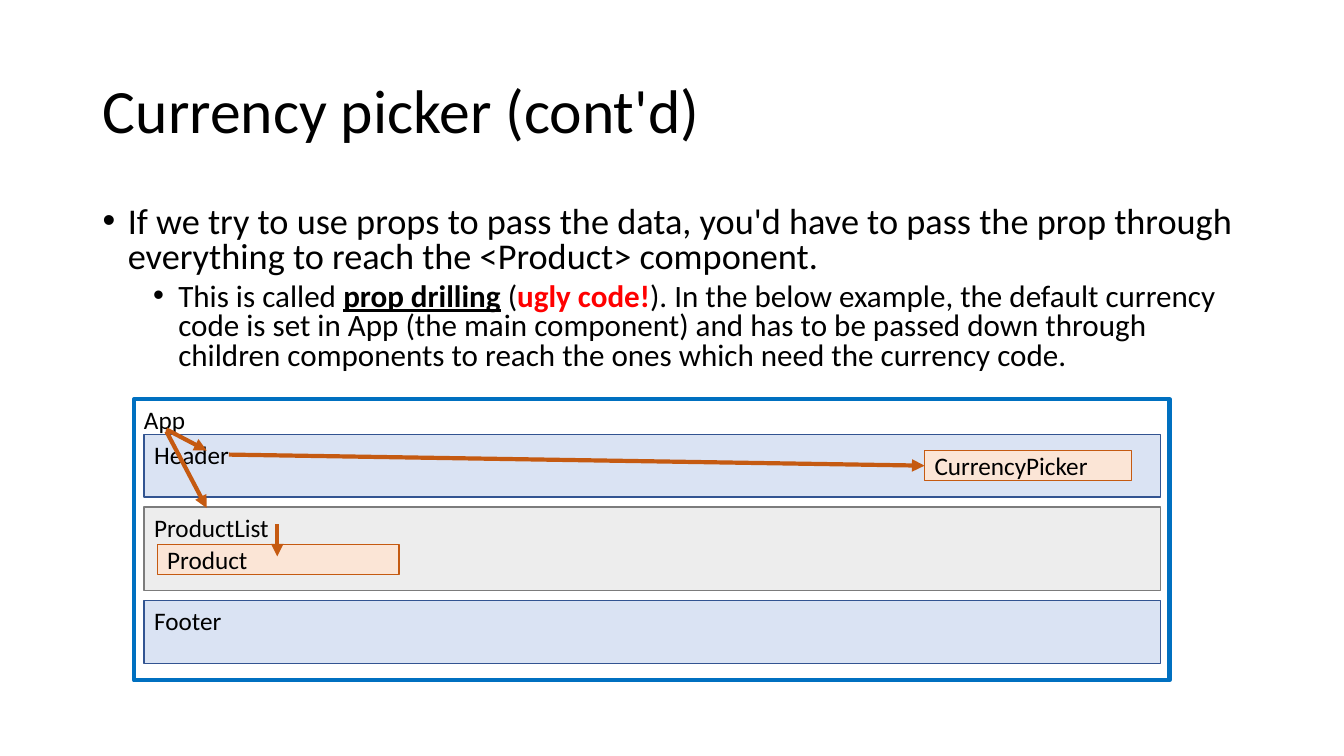
from lxml import etree
from pptx import Presentation
from pptx import util as u
from pptx.dml.color import RGBColor
from pptx.enum import shapes, text
from pptx.oxml.ns import qn

PX = 9144
BLACK, BLUE, ORANGE, RED = "000000", "0070C0", "C55A11", "FF0000"


def paint(color_format, value):
    color_format.rgb = RGBColor.from_string(value)


def add_run(p, words, size, color=BLACK, bold=False, underline=False):
    r = p.add_run()
    r.text = words
    r.font.name = "Calibri"
    r.font.size = u.Pt(size)
    r.font.bold = bold
    r.font.underline = underline
    paint(r.font.color, color)


prs = Presentation()
prs.slide_width, prs.slide_height = 1333 * PX, 750 * PX
s = prs.slides.add_slide(prs.slide_layouts[5])

title = s.shapes.title
title.left, title.top, title.width, title.height = [n * PX for n in (92, 40, 1150, 145)]
tf = title.text_frame
tf.auto_size = text.MSO_AUTO_SIZE.NONE
tf.vertical_anchor = text.MSO_ANCHOR.MIDDLE
p = tf.paragraphs[0]
p.alignment = text.PP_ALIGN.LEFT
p.line_spacing = 0.9
add_run(p, "Currency picker (cont'd)", 44)

body = s.shapes.add_textbox(*[n * PX for n in (92, 200, 1150, 185)])
tf = body.text_frame
tf.word_wrap = True
bullets = [
    (0, 25, 10, 25.9, [
        ("If we try to use props to pass the data, you'd have to pass the prop through "
         "everything to reach the <Product> component.",),
    ]),
    (1, 75, 5, 22.2, [
        ("This is called ",),
        ("prop drilling", BLACK, True, True),
        (" (",),
        ("ugly code!", RED, True),
        ("). In the below example, the default currency code is set in App (the main "
         "component) and has to be passed down through children components to reach "
         "the ones which need the currency code.",),
    ]),
]
for level, margin, before, size, runs in bullets:
    p = tf.add_paragraph() if level else tf.paragraphs[0]
    p.level = level
    p.line_spacing = 0.8
    p.space_before = u.Pt(before)
    pPr = p._p.get_or_add_pPr()
    pPr.set("marL", str(margin * PX))
    pPr.set("indent", str(-25 * PX))
    etree.SubElement(pPr, qn("a:buFont")).set("typeface", "Arial")
    etree.SubElement(pPr, qn("a:buChar")).set("char", "•")
    for words, *style in runs:
        add_run(p, words, size, *style)

TOP, MIDDLE = text.MSO_ANCHOR.TOP, text.MSO_ANCHOR.MIDDLE
components = [
    ("App", (133, 396, 1027, 279), None, BLUE, 3, TOP),
    ("Header", (143, 431, 1008, 62), "DAE3F3", "325491", 1, TOP),
    ("CurrencyPicker", (917, 447, 205, 30), "FBE5D6", ORANGE, 1, MIDDLE),
    ("ProductList", (143, 503, 1008, 83), "EDEDED", "7C7C7C", 1, TOP),
    ("Footer", (143, 596, 1008, 62), "DAE3F3", "325491", 1, TOP),
    ("Product", (156, 540, 240, 30), "FBE5D6", ORANGE, 1, MIDDLE),
]
for name, box, fill, line, weight, anchor in components:
    sp = s.shapes.add_shape(shapes.MSO_SHAPE.RECTANGLE, *[n * PX for n in box])
    sp.shadow.inherit = False
    if fill:
        sp.fill.solid()
        paint(sp.fill.fore_color, fill)
    else:
        sp.fill.background()
    paint(sp.line.color, line)
    sp.line.width = u.Pt(weight)
    tf = sp.text_frame
    tf.word_wrap = True
    tf.vertical_anchor = anchor
    p = tf.paragraphs[0]
    p.alignment = text.PP_ALIGN.LEFT
    add_run(p, name, 18)

prop_arrows = [
    (165, 426, 205, 447),
    (165, 428, 205, 504),
    (275, 520, 275, 552),
    (227, 451, 917, 462),
]
for ends in prop_arrows:
    arrow = s.shapes.add_connector(shapes.MSO_CONNECTOR.STRAIGHT, *[n * PX for n in ends])
    paint(arrow.line.color, ORANGE)
    arrow.line.width = u.Pt(3)
    etree.SubElement(arrow.line._get_or_add_ln(), qn("a:tailEnd")).set("type", "triangle")
    etree.SubElement(arrow._element.spPr, qn("a:effectLst"))

prs.save("out.pptx")
